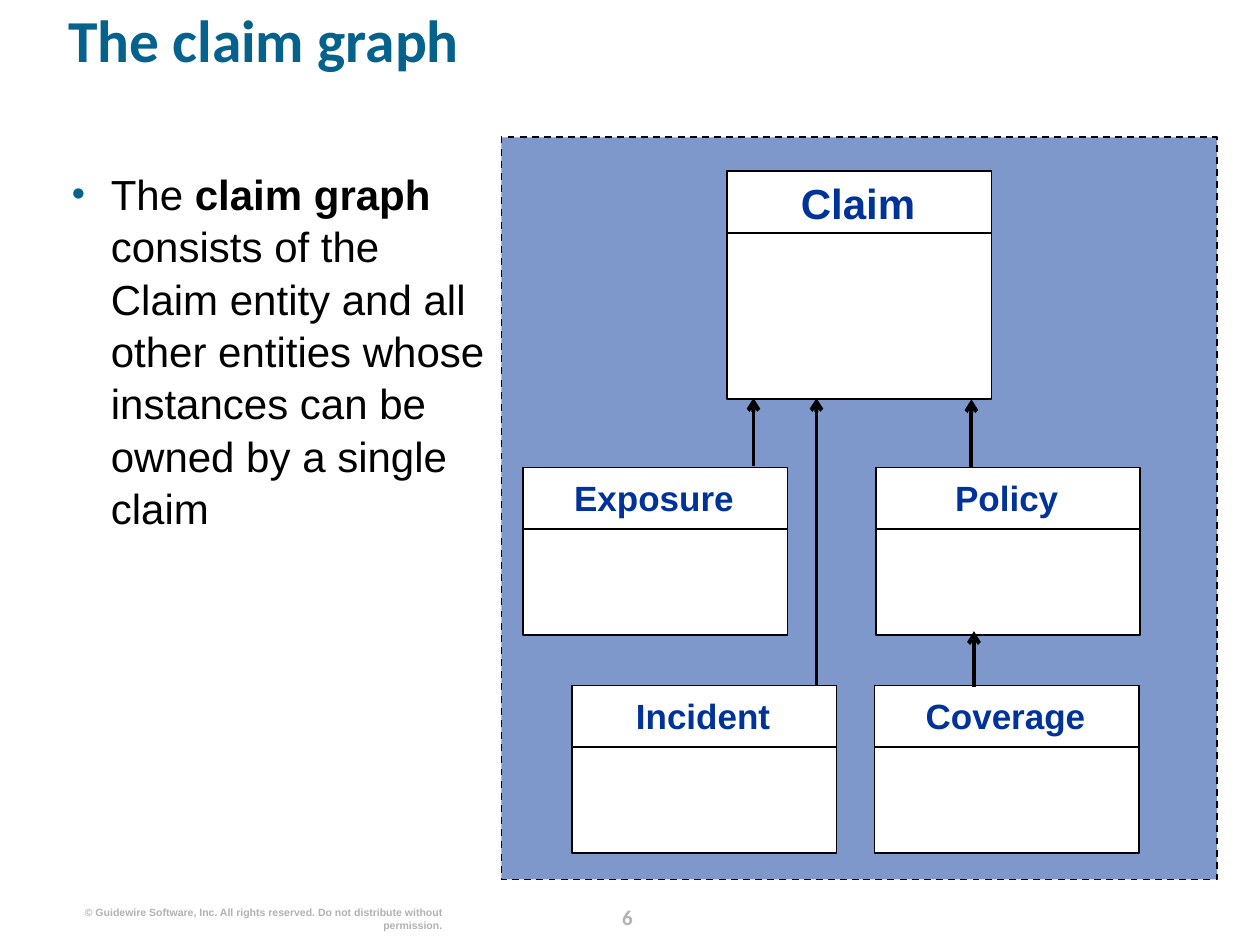
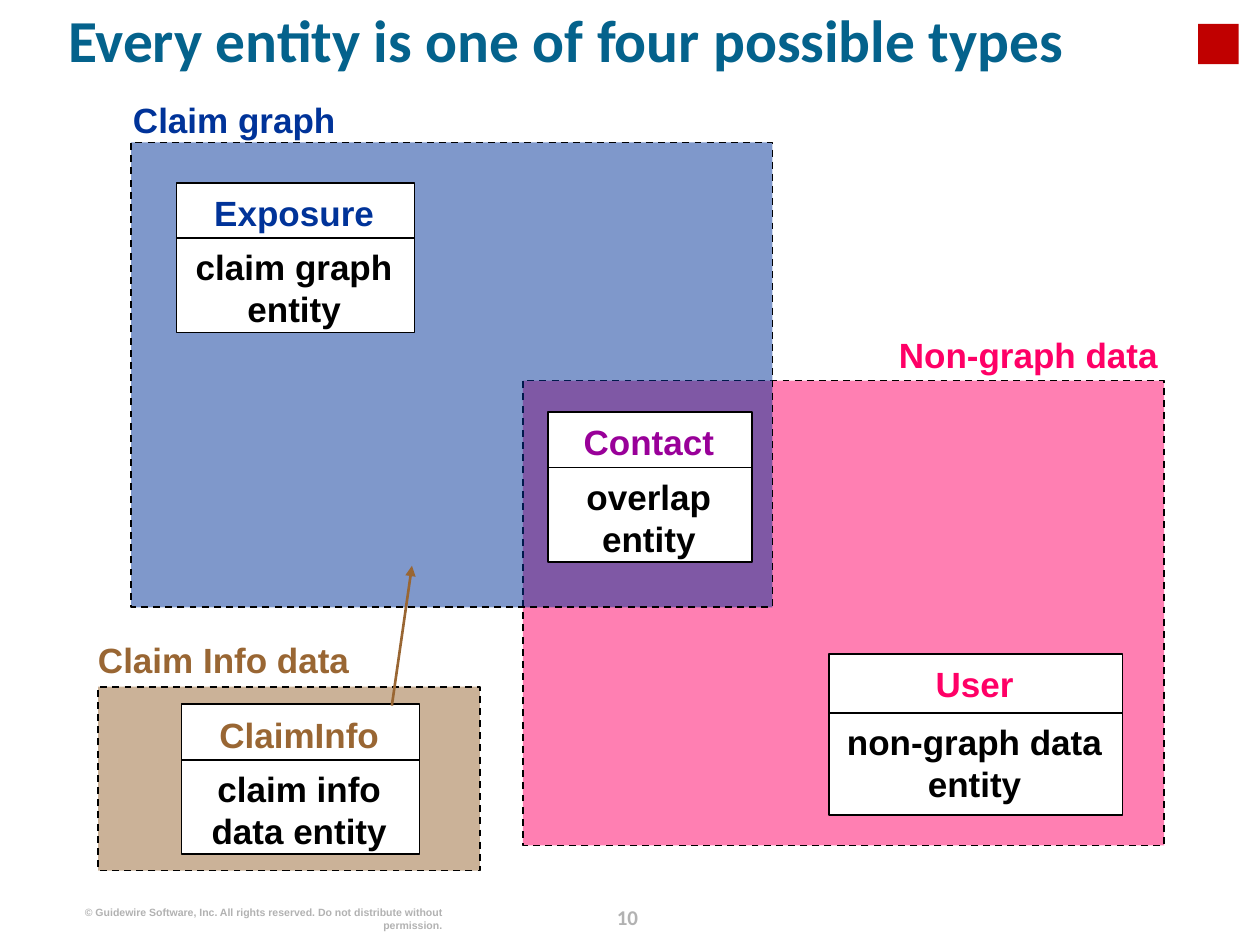
from lxml import etree
from pptx import Presentation
from pptx.dml.color import RGBColor
from pptx.enum.dml import MSO_LINE
from pptx.enum.shapes import MSO_CONNECTOR, MSO_SHAPE
from pptx.enum.text import MSO_ANCHOR, PP_ALIGN
from pptx.oxml.ns import qn
from pptx.util import Inches, Pt

# Shared palette
TEAL, GREY, BLACK, WHITE = "04628C", "B2B2B2", "000000", "FFFFFF"
NAVY, PINK, BROWN, PURPLE, RED = "003399", "FF0066", "996633", "990099", "C00000"

COPYRIGHT = ("© Guidewire Software, Inc. All rights reserved. "
             "Do not distribute without permission.")


def color(hex_text):
    return RGBColor.from_string(hex_text)


def add_element(parent, tag, **attributes):
    element = etree.SubElement(parent, qn(tag))
    for name, value in attributes.items():
        element.set(name, str(value))
    return element


class SlideBuilder:
    def __init__(self):
        self.deck = Presentation()
        self.deck.slide_width, self.deck.slide_height = Inches(10), Inches(7.5)
        self.page = None

    def new_page(self, title, number):
        """Start a slide with its title and footer."""
        self.page = self.deck.slides.add_slide(self.deck.slide_layouts[6])
        heading = self.text(title, 0.54, 0.13, 9.1, 0.81, 34, TEAL,
                            PP_ALIGN.LEFT, font="Calibri")
        heading.line_spacing = 0.8
        self.text(COPYRIGHT, 0.61, 7.19, 2.9, 0.2, 6, GREY, PP_ALIGN.RIGHT)
        page_number = self.text(str(number), 4.73, 7.13, 0.5, 0.25, 12, GREY,
                                font="Calibri")
        page_number.line_spacing = Pt(18)

    def text(self, words, left, top, width, height, size, ink,
             align=PP_ALIGN.CENTER, font="Arial", bold=True):
        """Add a text box without margins and return its paragraph."""
        box = self.page.shapes.add_textbox(Inches(left), Inches(top),
                                           Inches(width), Inches(height))
        frame = box.text_frame
        frame.word_wrap = True
        frame.vertical_anchor = MSO_ANCHOR.TOP
        frame.margin_left = frame.margin_right = 0
        frame.margin_top = frame.margin_bottom = 0
        para = frame.paragraphs[0]
        para.text = words
        para.alignment = align
        para.font.name, para.font.size = font, Pt(size)
        para.font.bold = bold
        para.font.color.rgb = color(ink)
        return para

    def bullet(self, pieces, left, top, width, height):
        """Add one bulleted paragraph made of (words, bold) pieces."""
        para = self.text("", left, top, width, height, 24, BLACK,
                         PP_ALIGN.LEFT, bold=None)
        para.line_spacing = 1.04
        properties = para._p.get_or_add_pPr()
        properties.set("marL", str(Inches(0.31)))
        properties.set("indent", str(-Inches(0.31)))
        defaults = properties.find(qn("a:defRPr"))
        bullet_color = add_element(properties, "a:buClr")
        add_element(bullet_color, "a:srgbClr", val=TEAL)
        add_element(properties, "a:buSzPct", val=90000)
        add_element(properties, "a:buFont", typeface="Arial")
        add_element(properties, "a:buChar", char="•")
        properties.append(defaults)
        for words, bold in pieces:
            span = para.add_run()
            span.text = words
            span.font.bold = bold

    def rectangle(self, left, top, width, height, fill, outline=True):
        shape = self.page.shapes.add_shape(
            MSO_SHAPE.RECTANGLE, Inches(left), Inches(top),
            Inches(width), Inches(height))
        shape.shadow.inherit = False
        shape.fill.solid()
        shape.fill.fore_color.rgb = color(fill)
        if outline:
            shape.line.color.rgb = color(BLACK)
            shape.line.width = Pt(1)
        else:
            shape.line.fill.background()
        return shape

    def zone(self, left, top, width, height, fill):
        """Add a half-transparent area with a dashed border."""
        area = self.rectangle(left, top, width, height, fill)
        area.line.dash_style = MSO_LINE.DASH
        tint = area.fill._xPr.find(qn("a:solidFill"))[0]
        add_element(tint, "a:alpha", val=50000)

    def line(self, start, end, ink=BLACK, weight=1, arrow=None):
        link = self.page.shapes.add_connector(
            MSO_CONNECTOR.STRAIGHT, *(Inches(v) for v in (*start, *end)))
        link.line.color.rgb = color(ink)
        link.line.width = Pt(weight)
        if arrow:
            add_element(link.line._get_or_add_ln(), "a:tailEnd", type=arrow)
        add_element(link._element.spPr, "a:effectLst")

    def entity(self, name, left, top, width, height, ink=NAVY, divider=0.49,
               size=20, kind=None):
        """Add a card with a name, a divider and an optional kind below it."""
        self.rectangle(left, top, width, height, WHITE)
        label_top = top + (0.07 if size == 20 else 0.05)
        self.text(name, left, label_top, width - 0.02, 0.35, size, ink)
        rule = top + divider
        self.line((left, rule), (left + width, rule))
        if kind:
            self.text(kind, left, rule + 0.06, width - 0.02, 0.67, 20, BLACK)


def build_claim_graph(builder):
    builder.new_page("The claim graph", 6)
    builder.zone(3.98, 1.09, 5.68, 5.89, NAVY)
    builder.bullet([("The ", False), ("claim graph", True),
                    (" consists of the Claim entity and all other entities whose "
                     "instances can be owned by a single claim", False)],
                   0.57, 1.32, 3.35, 5.6)

    # Entities
    builder.entity("Claim", 5.77, 1.36, 2.1, 1.81, size=24)
    for name, left, top in (("Exposure", 4.15, 3.71), ("Incident", 4.54, 5.44),
                            ("Policy", 6.95, 3.71), ("Coverage", 6.94, 5.44)):
        builder.entity(name, left, top, 2.1, 1.33)

    # Ownership arrows, each pointing up to the owner
    for x, bottom, top in ((6.48, 5.44, 3.16), (7.73, 5.45, 5.01),
                           (5.98, 3.7, 3.16), (7.71, 3.71, 3.17)):
        builder.line((x, bottom), (x, top), weight=2.25, arrow="arrow")


def build_entity_types(builder):
    builder.new_page("Every entity is one of four possible types", 10)

    # Data areas and their labels
    builder.zone(4.15, 3.02, 5.09, 3.69, PINK)
    builder.zone(1.04, 1.13, 5.09, 3.69, NAVY)
    builder.zone(0.78, 5.45, 3.03, 1.46, BROWN)
    builder.text("Claim graph", 0.96, 0.78, 1.8, 0.34, 20, NAVY)
    builder.text("Non-graph data", 7.01, 2.65, 2.18, 0.34, 20, PINK, PP_ALIGN.RIGHT)
    builder.text("Claim Info data", 0.57, 5.07, 2.41, 0.34, 20, BROWN)

    # One example entity of each type
    builder.entity("Exposure", 1.4, 1.45, 1.89, 1.19, NAVY, 0.44,
                   kind="claim graph\ventity")
    builder.entity("User", 6.58, 5.19, 2.33, 1.28, PINK, 0.47,
                   kind="non-graph data\ventity")
    builder.entity("Contact", 4.35, 3.27, 1.62, 1.19, PURPLE, 0.44,
                   kind="overlap\ventity")
    builder.entity("ClaimInfo", 1.44, 5.59, 1.89, 1.19, BROWN, 0.44,
                   kind="claim info data entity")
    builder.line((3.11, 5.6), (3.27, 4.49), BROWN, 1.5, "triangle")

    # Corner marker
    builder.rectangle(9.51, 0.19, 0.32, 0.32, RED, outline=False)


def main():
    builder = SlideBuilder()
    build_claim_graph(builder)
    build_entity_types(builder)
    builder.deck.save("out.pptx")


if __name__ == "__main__":
    main()
